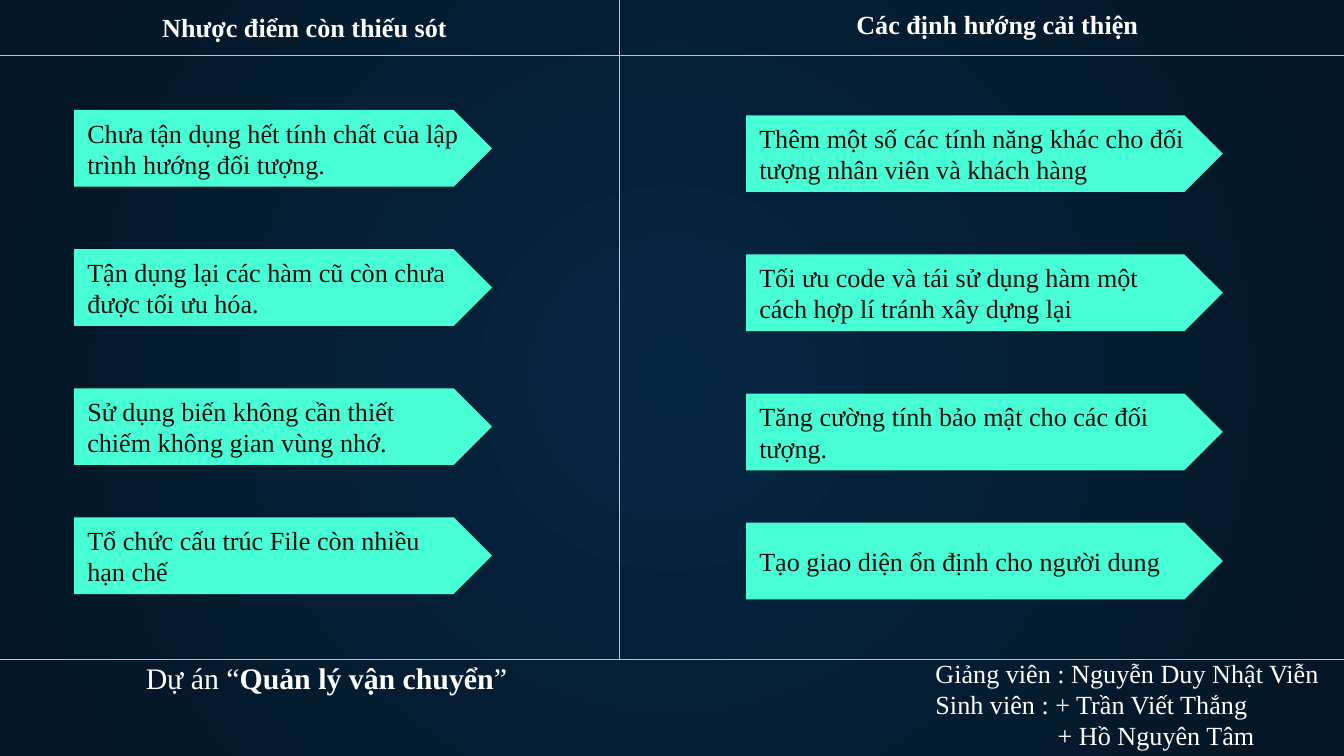
from pptx import Presentation
from pptx.dml.color import RGBColor
from pptx.enum.shapes import MSO_CONNECTOR, MSO_SHAPE
from pptx.enum.text import MSO_ANCHOR, PP_ALIGN
from pptx.oxml.ns import qn
from pptx.oxml.xmlchemy import OxmlElement
from pptx.util import Cm, Pt

STRAIGHT = MSO_CONNECTOR.STRAIGHT
PENTAGON = MSO_SHAPE.PENTAGON
LEFT, CENTER = PP_ALIGN.LEFT, PP_ALIGN.CENTER
TOP, MIDDLE, BOTTOM = MSO_ANCHOR.TOP, MSO_ANCHOR.MIDDLE, MSO_ANCHOR.BOTTOM

FONT = "Times New Roman"
NAVY = RGBColor(0x05, 0x26, 0x43)
DARK_NAVY = RGBColor(0x04, 0x15, 0x23)
MINT = RGBColor(0x48, 0xFF, 0xD5)
DIVIDER_MINT = RGBColor(0x42, 0xFE, 0xD3)
WHITE = RGBColor(0xFF, 0xFF, 0xFF)
INK = RGBColor(0x0D, 0x0D, 0x0D)

SLIDE_W, SLIDE_H = 25.4, 14.29
COLUMN_X, FOOTER_Y = 11.71, 12.47
ARROW_H = 1.45
ARROW_TOPS = [2.08, 4.71, 7.34, 9.78]


def write(frame, paragraphs, size, color, align, anchor, inset):
    """Fill a text frame with paragraphs, each a list of (text, bold) runs."""
    frame.word_wrap = True
    frame.vertical_anchor = anchor
    frame.margin_left = frame.margin_right = Cm(0.25)
    frame.margin_top = frame.margin_bottom = Cm(inset)
    for index, runs in enumerate(paragraphs):
        paragraph = frame.add_paragraph() if index else frame.paragraphs[0]
        paragraph.alignment = align
        for text, bold in runs:
            run = paragraph.add_run()
            run.text = text
            run.font.name = FONT
            run.font.size = Pt(size)
            run.font.bold = bold
            run.font.color.rgb = color


prs = Presentation()
prs.slide_width, prs.slide_height = Cm(SLIDE_W), Cm(SLIDE_H)
slide = prs.slides.add_slide(prs.slide_layouts[6])
shapes = slide.shapes

# Radial background, lighter in the middle
backdrop = slide.background.fill
backdrop.gradient()
for stop, position, color in zip(backdrop.gradient_stops, (0, 1), (NAVY, DARK_NAVY)):
    stop.position = position
    stop.color.rgb = color
linear = next(slide._element.iter(qn("a:lin")))
radial = OxmlElement("a:path")
radial.set("path", "circle")
center = OxmlElement("a:fillToRect")
for side in "ltrb":
    center.set(side, "50000")
radial.append(center)
linear.getparent().replace(linear, radial)

# Dividers
for x1, y1, x2, y2, color in [
    (0, 1.05, SLIDE_W, 1.05, MINT),
    (COLUMN_X, 0, COLUMN_X, FOOTER_Y, DIVIDER_MINT),
    (0, FOOTER_Y, SLIDE_W, FOOTER_Y, DIVIDER_MINT),
]:
    divider = shapes.add_connector(STRAIGHT, Cm(x1), Cm(y1), Cm(x2), Cm(y2))
    divider.line.color.rgb = color
    divider.line.width = Pt(0.75)
    divider._element.spPr.append(OxmlElement("a:effectLst"))

# Two columns: heading place, arrow place and width, downward shift, points
columns = [
    ("Nhược điểm còn thiếu sót", 2.23, 0.15, 1.4, 7.9, 0, [
        "Chưa tận dụng hết tính chất của lập trình hướng đối tượng.",
        "Tận dụng lại các hàm cũ còn chưa được tối ưu hóa.",
        "Sử dụng biến không cần thiết chiếm không gian vùng nhớ.",
        "Tổ chức cấu trúc File còn nhiều hạn chế",
    ]),
    ("Các định hướng cải thiện", 15.32, 0.1, 14.1, 9.01, 0.1, [
        "Thêm một số các tính năng khác cho đối tượng nhân viên và khách hàng",
        "Tối ưu code và tái sử dụng hàm một cách hợp lí tránh xây dựng lại",
        "Tăng cường tính bảo mật cho các đối tượng.",
        "Tạo giao diện ổn định cho người dung",
    ]),
]
for title, title_x, title_y, arrow_x, arrow_w, shift, points in columns:
    heading = shapes.add_textbox(Cm(title_x), Cm(title_y), Cm(7.06), Cm(0.91))
    write(heading.text_frame, [[(title, True)]], 14, WHITE, CENTER, BOTTOM, 0.25)
    for top, point in zip(ARROW_TOPS, points):
        arrow = shapes.add_shape(
            PENTAGON, Cm(arrow_x), Cm(top + shift), Cm(arrow_w), Cm(ARROW_H))
        arrow.shadow.inherit = False
        arrow.fill.solid()
        arrow.fill.fore_color.rgb = MINT
        arrow.line.fill.background()
        write(arrow.text_frame, [[(point, False)]], 14, INK, LEFT, MIDDLE, 0.25)

# Footer
project = shapes.add_textbox(Cm(0.15), Cm(12.34), Cm(12.04), Cm(0.94))
project_runs = [("Dự án “", False), ("Quản lý vận chuyển", True), ("”", False)]
write(project.text_frame, [project_runs], 16, WHITE, CENTER, TOP, 0.13)

people = shapes.add_textbox(Cm(17.43), Cm(12.29), Cm(7.95), Cm(2))
people_lines = [
    "Giảng viên : Nguyễn Duy Nhật Viễn",
    "Sinh viên : + Trần Viết Thắng",
    "+ Hồ Nguyên Tâm",
]
write(people.text_frame, [[(line, False)] for line in people_lines],
      14, WHITE, LEFT, TOP, 0.13)
second_student = people.text_frame.paragraphs[-1]
second_student._p.get_or_add_pPr().set("marL", str(Cm(2.31)))

prs.save("out.pptx")
